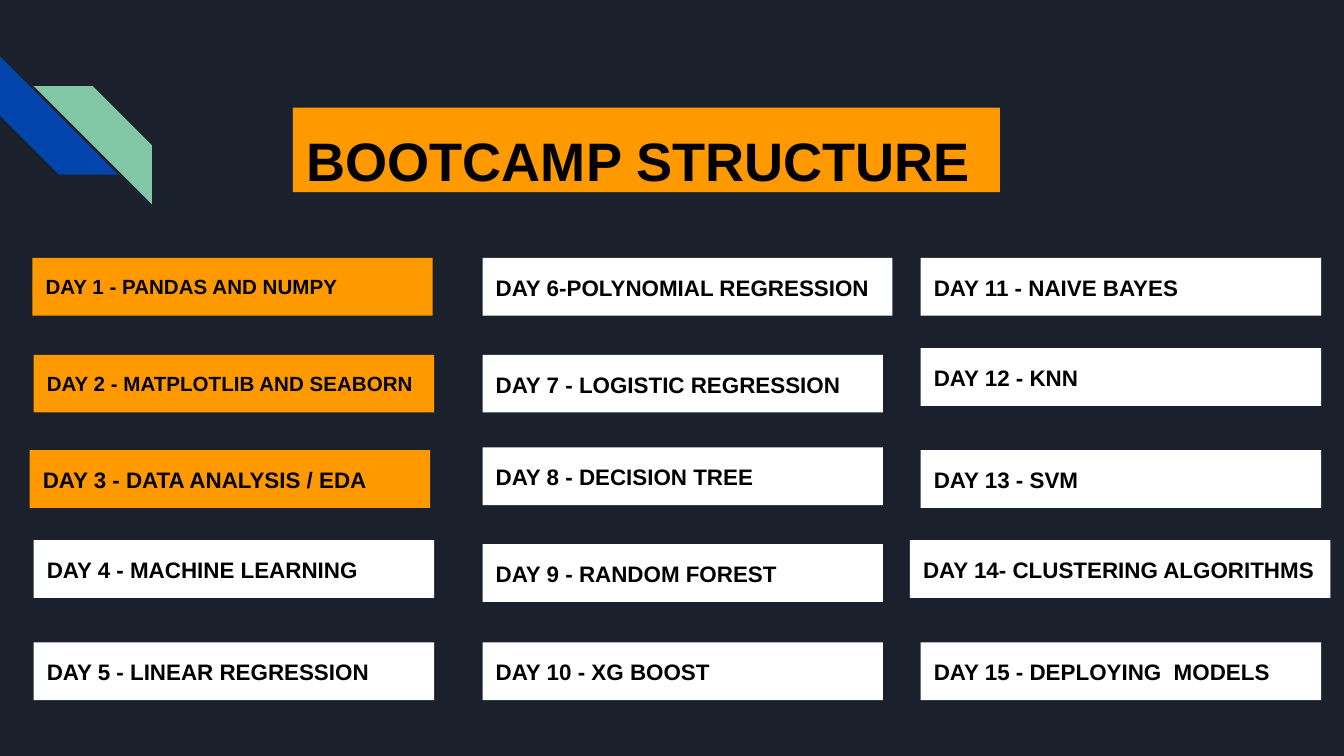
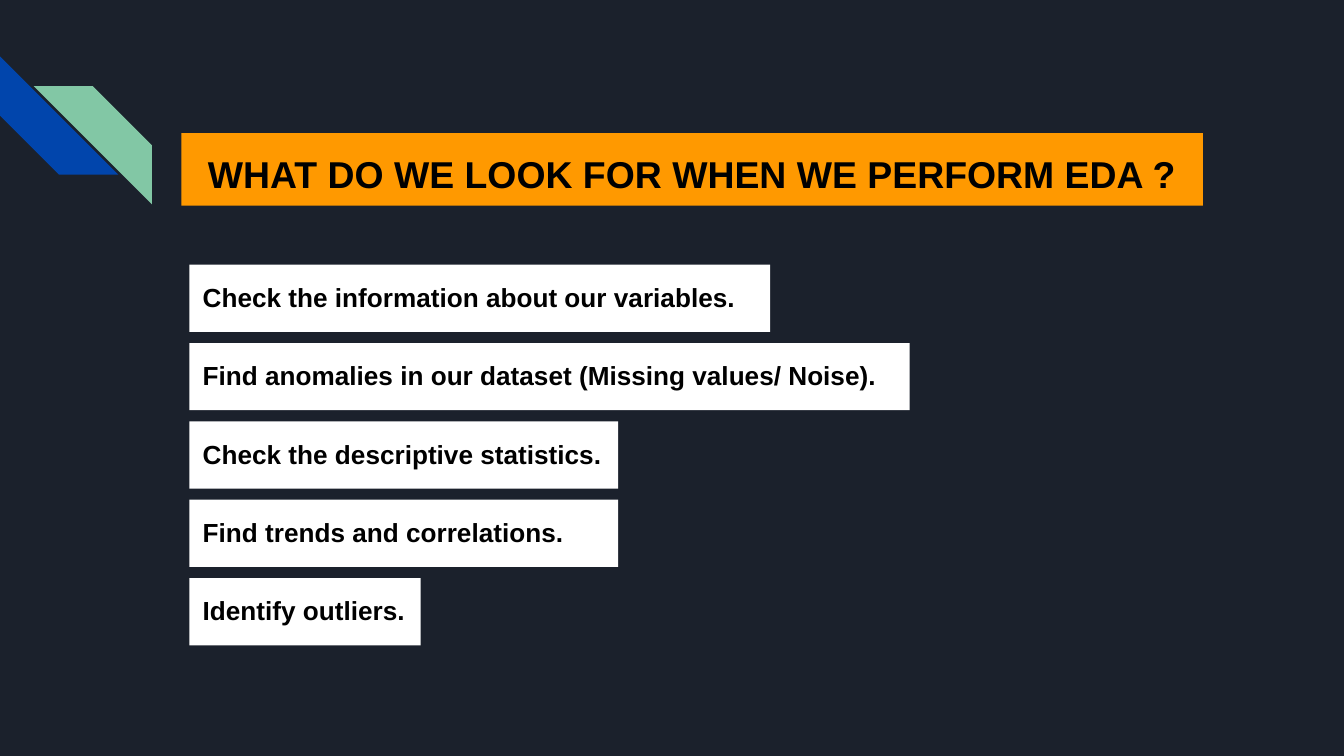
from pptx import Presentation
from pptx import util as u
from pptx.dml.color import RGBColor
from pptx.enum import shapes, text

# Theme: colours, font, type sizes
THEME = {
    "night": RGBColor.from_string("1B212C"),
    "blue": RGBColor.from_string("0145AC"),
    "green": RGBColor.from_string("82C7A5"),
    "orange": RGBColor.from_string("FF9900"),
    "white": RGBColor.from_string("FFFFFF"),
    "black": RGBColor.from_string("000000"),
    "font": "Arial",
    "headline": 29,
    "question": 20,
    "check": 14,
    "day": 12,
    "long_day": 11,
}
FRAME = {
    "word_wrap": True,
    "auto_size": text.MSO_AUTO_SIZE.NONE,
    "vertical_anchor": text.MSO_ANCHOR.TOP,
    **{f"margin_{side}": u.Inches(0.1) for side in ("left", "top", "right", "bottom")},
}


def fill_band(band, box, colour, wording, size, align=text.PP_ALIGN.LEFT):
    """Place a filled band and write its bold line of text."""
    for side, length in zip(("left", "top", "width", "height"), box):
        setattr(band, side, u.Inches(length))
    band.fill.solid()
    band.fill.fore_color.rgb = THEME[colour]
    band.line.fill.background()
    for name, value in FRAME.items():
        setattr(band.text_frame, name, value)
    line = band.text_frame.paragraphs[0]
    for name, value in {"alignment": align, "line_spacing": 1.1, "space_before": u.Pt(0)}.items():
        setattr(line, name, value)
    run = line.add_run()
    run.text = wording
    for name, value in {"name": THEME["font"], "size": u.Pt(THEME[size]), "bold": True}.items():
        setattr(run.font, name, value)
    run.font.color.rgb = THEME["black"]


def add_band(slide, box, colour, wording, size):
    band = slide.shapes.add_shape(shapes.MSO_SHAPE.RECTANGLE, 0, 0, 0, 0)
    band.shadow.inherit = False
    fill_band(band, box, colour, wording, size)


prs = Presentation()
prs.slide_width, prs.slide_height = u.Inches(10), u.Inches(5.625)
title_only = prs.slide_layouts.get_by_name("Title Only")
structure = prs.slides.add_slide(title_only)
eda = prs.slides.add_slide(title_only)

# Master: dark background and the two corner stripes
master = prs.slide_master
master.background.fill.solid()
master.background.fill.fore_color.rgb = THEME["night"]
for left, top, colour, rotation, flip in (
    (0, 0.42, "blue", 270, "0"),
    (0.25, 0.64, "green", 0, "1"),
):
    stripe = structure.shapes.add_shape(
        shapes.MSO_SHAPE.DIAGONAL_STRIPE,
        u.Inches(left), u.Inches(top), u.Inches(0.88), u.Inches(0.88))
    stripe.shadow.inherit = False
    stripe.rotation = rotation
    stripe.fill.solid()
    stripe.fill.fore_color.rgb = THEME[colour]
    stripe.line.fill.background()
    stripe.element.spPr.xfrm.set("flipH", flip)
    master.shapes.element.append(stripe.element)

# Slide 1: bootcamp days in three columns
fill_band(structure.shapes.title, (2.18, 0.8, 5.26, 0.63), "orange",
          "BOOTCAMP STRUCTURE", "headline")

DAY_WIDTH, DAY_HEIGHT = 2.98, 0.43
day_columns = (
    (
        (0.24, 1.92, DAY_WIDTH, "DAY 1 - PANDAS AND NUMPY"),
        (0.25, 2.64, DAY_WIDTH, "DAY 2 - MATPLOTLIB AND SEABORN"),
        (0.22, 3.35, DAY_WIDTH, "DAY 3 - DATA ANALYSIS / EDA"),
        (0.25, 4.02, DAY_WIDTH, "DAY 4 - MACHINE LEARNING"),
        (0.25, 4.78, DAY_WIDTH, "DAY 5 - LINEAR REGRESSION"),
    ),
    (
        (3.59, 1.92, 3.05, "DAY 6-POLYNOMIAL REGRESSION"),
        (3.59, 2.64, DAY_WIDTH, "DAY 7 - LOGISTIC REGRESSION"),
        (3.59, 3.33, DAY_WIDTH, "DAY 8 - DECISION TREE"),
        (3.59, 4.05, DAY_WIDTH, "DAY 9 - RANDOM FOREST"),
        (3.59, 4.78, DAY_WIDTH, "DAY 10 - XG BOOST"),
    ),
    (
        (6.85, 1.92, DAY_WIDTH, "DAY 11 - NAIVE BAYES"),
        (6.85, 2.59, DAY_WIDTH, "DAY 12 - KNN"),
        (6.85, 3.35, DAY_WIDTH, "DAY 13 - SVM"),
        (6.77, 4.02, 3.13, "DAY 14- CLUSTERING ALGORITHMS"),
        (6.85, 4.78, DAY_WIDTH, "DAY 15 - DEPLOYING  MODELS"),
    ),
)
days = [day for column in day_columns for day in column]
for number, (left, top, width, topic) in enumerate(days, start=1):
    add_band(structure, (left, top, width, DAY_HEIGHT),
             "orange" if number <= 3 else "white", topic,
             "long_day" if number <= 2 else "day")

# Slide 2: EDA checklist
fill_band(eda.shapes.title, (1.35, 0.99, 7.6, 0.54), "orange",
          "WHAT DO WE LOOK FOR WHEN WE PERFORM EDA ?", "question",
          text.PP_ALIGN.CENTER)

checks = (
    (4.32, "Check the information about our variables."),
    (5.36, "Find anomalies in our dataset (Missing values/ Noise)."),
    (3.19, "Check the descriptive statistics."),
    (3.19, "Find trends and correlations."),
    (1.72, "Identify outliers."),
)
CHECK_TOP, CHECK_STEP = 1.97, 0.583
for row, (width, check) in enumerate(checks):
    add_band(eda, (1.41, CHECK_TOP + row * CHECK_STEP, width, 0.5),
             "white", check, "check")

prs.save("out.pptx")
